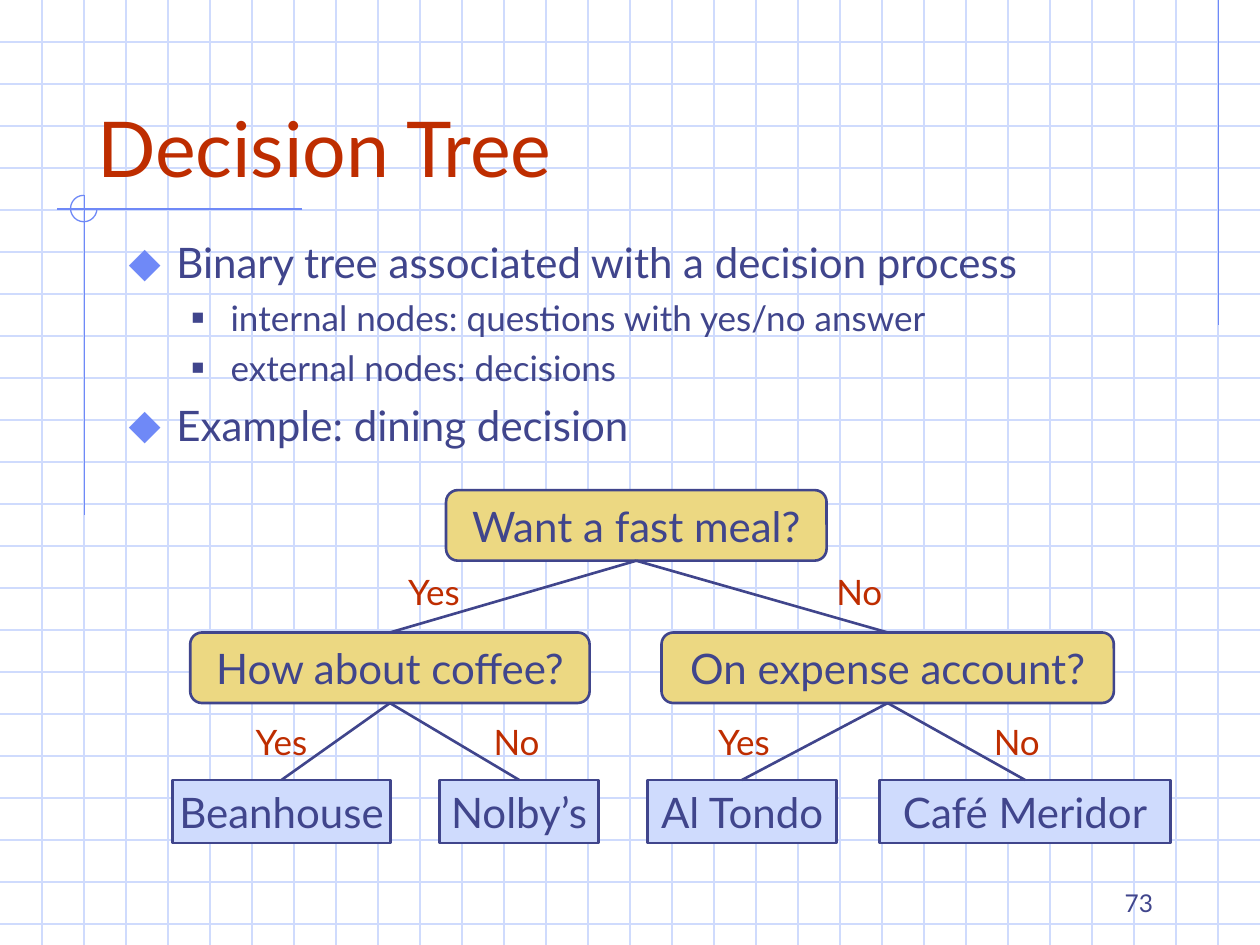
"""Build a slide that explains decision trees with a dining example."""
import dataclasses

import lxml.etree
import pptx
import pptx.dml.color
import pptx.enum.shapes
import pptx.enum.text
import pptx.oxml.ns
import pptx.shapes.autoshape
import pptx.shapes.base
import pptx.shapes.connector
import pptx.slide
import pptx.text.text
import pptx.util

Inches = pptx.util.Inches
Pt = pptx.util.Pt
Align = pptx.enum.text.PP_ALIGN
Anchor = pptx.enum.text.MSO_ANCHOR
Preset = pptx.enum.shapes.MSO_SHAPE

FONT = "Lato"
RED = "BE2D00"
NAVY = "40458C"
BLUE = "6F89F7"
PALE = "CFDBFD"
GOLD = "ECD882"
BOTTOM, TOP = 2, 0
SLIDE_WIDTH, SLIDE_HEIGHT = 10, 7.5


@dataclasses.dataclass(frozen=True)
class Level:
    """Format of one list level."""
    size: float
    space_before: float
    margin: float
    hang: float
    bullet: str
    bullet_color: str
    bullet_percent: int


@dataclasses.dataclass(frozen=True)
class Node:
    """A box of the tree: a question inside it or a decision at its foot."""
    text: str
    left: float
    top: float
    width: float
    is_question: bool = False


@dataclasses.dataclass(frozen=True)
class Branch:
    """An answer that leads from one node to the next."""
    parent: str
    child: str
    answer: str
    label_left: float
    label_top: float


LEVELS = [
    Level(24, 6, 0.38, 0.38, "⬥", BLUE, 110),
    Level(20, 5, 0.81, 0.31, "■", NAVY, 60),
]
ITEMS = [
    (0, "Binary tree associated with a decision process"),
    (1, "internal nodes: questions with yes/no answer"),
    (1, "external nodes: decisions"),
    (0, "Example: dining decision"),
]
NODES = {
    "meal": Node("Want a fast meal?", 3.54, 3.89, 3.02, True),
    "coffee": Node("How about coffee?", 1.51, 5.02, 3.17, True),
    "expense": Node("On expense account?", 5.25, 5.02, 3.59, True),
    "cafe": Node("Beanhouse", 1.37, 6.19, 1.73),
    "diner": Node("Nolby’s", 3.49, 6.19, 1.26),
    "trattoria": Node("Al Tondo", 5.14, 6.19, 1.5),
    "bistro": Node("Café Meridor", 6.98, 6.19, 2.31),
}
BRANCHES = [
    Branch("meal", "coffee", "Yes", 3.12, 4.48),
    Branch("meal", "expense", "No", 6.53, 4.48),
    Branch("coffee", "cafe", "Yes", 1.91, 5.67),
    Branch("coffee", "diner", "No", 3.81, 5.67),
    Branch("expense", "trattoria", "Yes", 5.58, 5.67),
    Branch("expense", "bistro", "No", 7.78, 5.67),
]
LABEL_WIDTHS = {"Yes": 0.65, "No": 0.58}


def rgb(value: str) -> pptx.dml.color.RGBColor:
    return pptx.dml.color.RGBColor.from_string(value)


def add_run(paragraph: pptx.text.text._Paragraph, text: str, size: float, color: str) -> None:
    run = paragraph.add_run()
    run.text = text
    run.font.name = FONT
    run.font.size = Pt(size)
    run.font.color.rgb = rgb(color)


def place(shape: pptx.shapes.base.BaseShape, left: float, top: float,
          width: float, height: float) -> None:
    shape.left, shape.top = Inches(left), Inches(top)
    shape.width, shape.height = Inches(width), Inches(height)


def bring_to_front(shape: pptx.shapes.base.BaseShape) -> None:
    shape.element.getparent().append(shape.element)


def add_line(slide: pptx.slide.Slide, start: tuple[float, float], end: tuple[float, float],
             color: str, width: float = 0.75) -> pptx.shapes.connector.Connector:
    line = slide.shapes.add_connector(
        pptx.enum.shapes.MSO_CONNECTOR.STRAIGHT,
        Inches(start[0]), Inches(start[1]), Inches(end[0]), Inches(end[1]))
    line.line.color.rgb = rgb(color)
    line.line.width = Pt(width)
    properties = line.element.find(pptx.oxml.ns.qn("p:spPr"))
    lxml.etree.SubElement(properties, pptx.oxml.ns.qn("a:effectLst"))
    return line


def add_background(slide: pptx.slide.Slide) -> None:
    for row in range(1, 23):
        add_line(slide, (0, row / 3), (SLIDE_WIDTH, row / 3), PALE)
    for column in range(1, 30):
        add_line(slide, (column / 3, 0), (column / 3, SLIDE_HEIGHT), PALE)
    add_line(slide, (9.67, 0), (9.67, 2.58), BLUE)
    add_line(slide, (2.4, 1.66), (0.45, 1.66), BLUE)
    add_line(slide, (0.67, 1.55), (0.67, 4.09), BLUE)
    arc = slide.shapes.add_shape(
        Preset.ARC, Inches(0.56), Inches(1.55), Inches(0.21), Inches(0.21))
    arc.adjustments[0] = 0
    arc.adjustments[1] = 162
    arc.shadow.inherit = False
    arc.fill.background()
    arc.line.color.rgb = rgb(BLUE)
    arc.line.width = Pt(0.75)


def add_title(slide: pptx.slide.Slide, text: str) -> None:
    title = slide.shapes.title
    place(title, 0.67, 0.33, 8.5, 1.25)
    bring_to_front(title)
    frame = title.text_frame
    frame.auto_size = pptx.enum.text.MSO_AUTO_SIZE.NONE
    frame.vertical_anchor = Anchor.BOTTOM
    frame.paragraphs[0].alignment = Align.LEFT
    add_run(frame.paragraphs[0], text, 44, RED)


def set_bullet(paragraph: pptx.text.text._Paragraph, level: Level) -> None:
    qn = pptx.oxml.ns.qn
    properties = paragraph._p.get_or_add_pPr()
    properties.set("marL", str(Inches(level.margin)))
    properties.set("indent", str(-Inches(level.hang)))
    color = lxml.etree.SubElement(properties, qn("a:buClr"))
    lxml.etree.SubElement(color, qn("a:srgbClr"), val=level.bullet_color)
    lxml.etree.SubElement(properties, qn("a:buSzPct"), val=str(level.bullet_percent * 1000))
    lxml.etree.SubElement(properties, qn("a:buChar"), char=level.bullet)


def add_list(slide: pptx.slide.Slide) -> None:
    body = slide.placeholders[1]
    place(body, 0.92, 1.83, 8.5, 2)
    bring_to_front(body)
    frame = body.text_frame
    frame.auto_size = pptx.enum.text.MSO_AUTO_SIZE.NONE
    for index, (depth, text) in enumerate(ITEMS):
        level = LEVELS[depth]
        paragraph = frame.add_paragraph() if index else frame.paragraphs[0]
        paragraph.level = depth
        set_bullet(paragraph, level)
        paragraph.space_before = Pt(level.space_before if index else 0)
        add_run(paragraph, text, level.size, NAVY)


def add_node(slide: pptx.slide.Slide, node: Node) -> pptx.shapes.autoshape.Shape:
    preset = Preset.ROUNDED_RECTANGLE if node.is_question else Preset.RECTANGLE
    height = 0.56 if node.is_question else 0.5
    shape = slide.shapes.add_shape(
        preset, Inches(node.left), Inches(node.top), Inches(node.width), Inches(height))
    shape.shadow.inherit = False
    shape.fill.solid()
    shape.fill.fore_color.rgb = rgb(GOLD if node.is_question else PALE)
    shape.line.color.rgb = rgb(NAVY)
    shape.line.width = Pt(1.5)
    frame = shape.text_frame
    frame.word_wrap = False
    frame.vertical_anchor = Anchor.MIDDLE
    frame.paragraphs[0].alignment = Align.CENTER
    add_run(frame.paragraphs[0], node.text, 24, NAVY)
    return shape


def add_text(slide: pptx.slide.Slide, text: str, box: tuple[float, float, float, float],
             size: float, color: str, alignment: Align, anchor: Anchor, wrap: bool) -> None:
    frame = slide.shapes.add_textbox(*map(Inches, box)).text_frame
    frame.word_wrap = wrap
    frame.vertical_anchor = anchor
    frame.paragraphs[0].alignment = alignment
    add_run(frame.paragraphs[0], text, size, color)


def add_tree(slide: pptx.slide.Slide) -> None:
    shapes = {name: add_node(slide, node) for name, node in NODES.items()}
    for branch in BRANCHES:
        line = add_line(slide, (0, 0), (1, 1), NAVY, 1.5)
        line.begin_connect(shapes[branch.parent], BOTTOM)
        line.end_connect(shapes[branch.child], TOP)
    for branch in BRANCHES:
        box = (branch.label_left, branch.label_top, LABEL_WIDTHS[branch.answer], 0.44)
        add_text(slide, branch.answer, box, 20, RED, Align.CENTER, Anchor.TOP, False)


def main() -> None:
    presentation = pptx.Presentation()
    presentation.slide_width = Inches(SLIDE_WIDTH)
    presentation.slide_height = Inches(SLIDE_HEIGHT)
    slide = presentation.slides.add_slide(presentation.slide_layouts[1])
    add_background(slide)
    add_title(slide, "Decision Tree")
    add_list(slide)
    add_tree(slide)
    add_text(slide, "73", (7.17, 6.83, 2.08, 0.5), 14, NAVY, Align.RIGHT, Anchor.BOTTOM, True)
    presentation.save("out.pptx")


if __name__ == "__main__":
    main()
